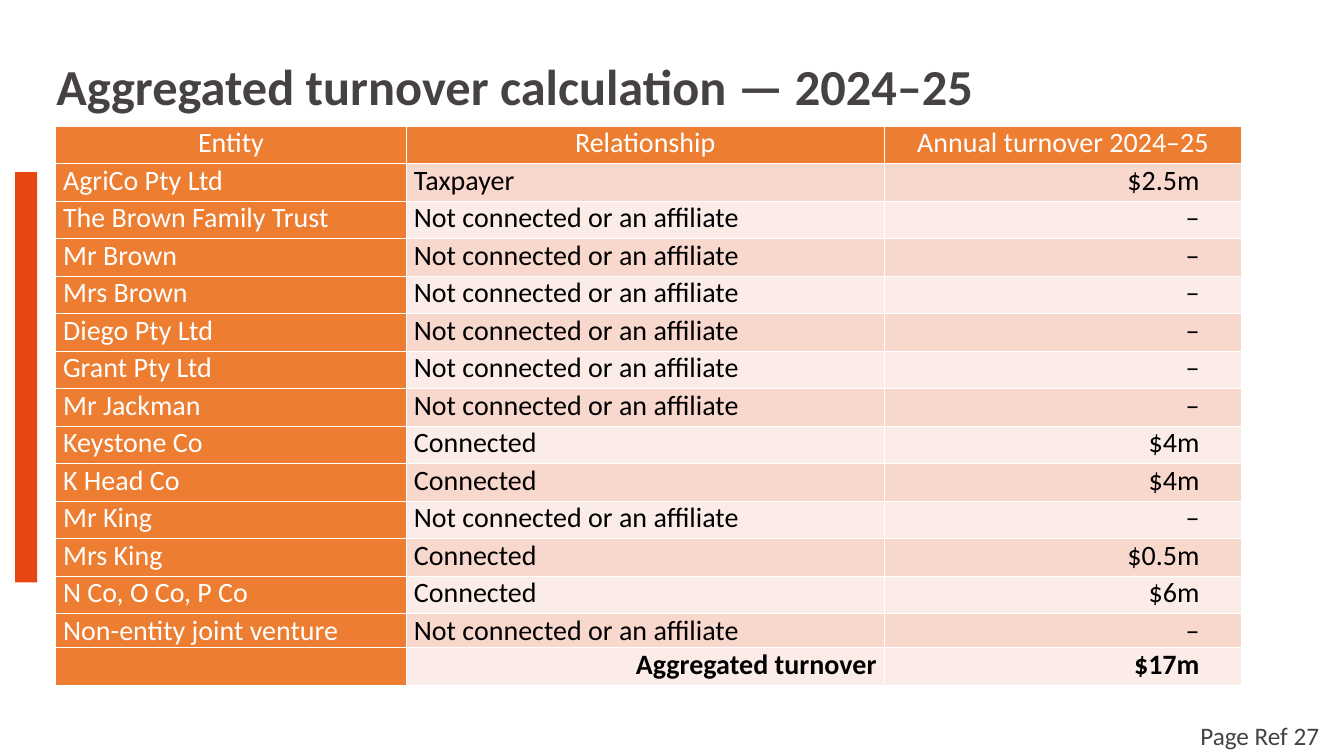
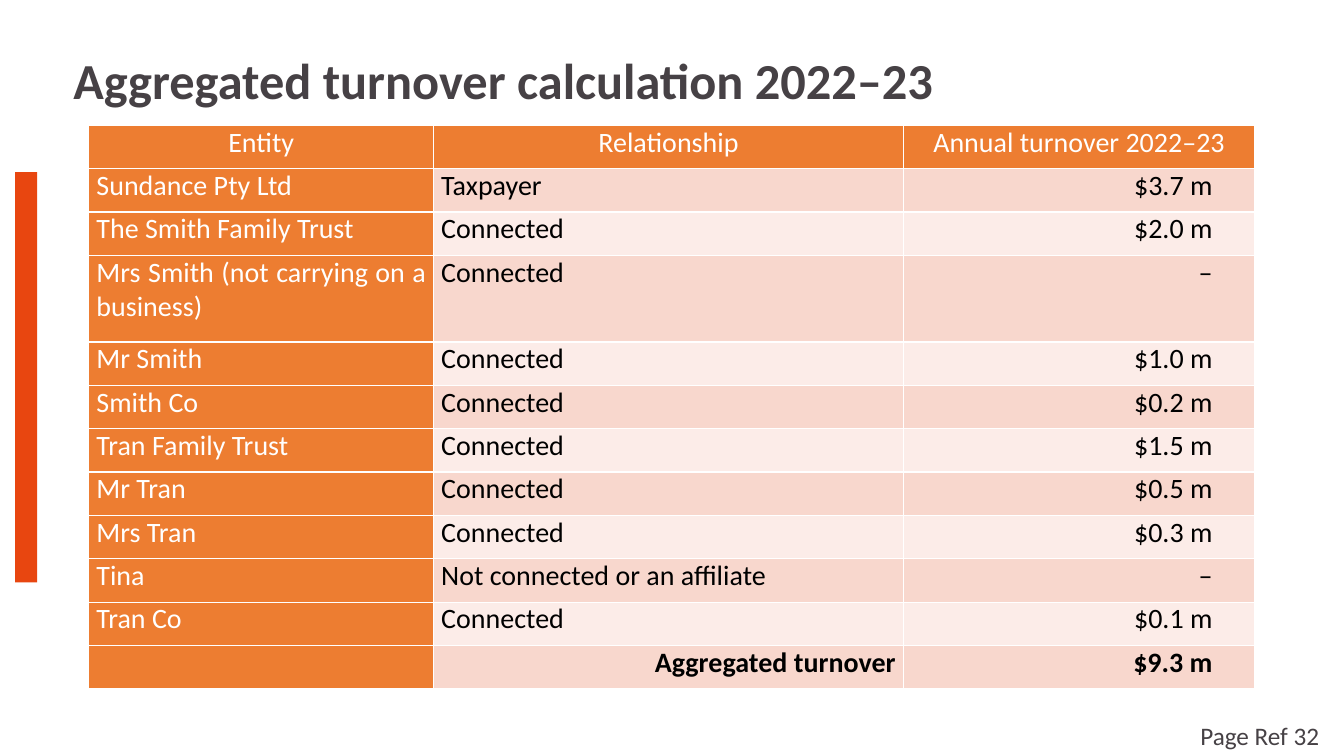
from dataclasses import dataclass

from lxml import etree
from pptx import Presentation
from pptx.dml.color import RGBColor
from pptx.enum.shapes import MSO_SHAPE
from pptx.enum.text import MSO_ANCHOR, PP_ALIGN
from pptx.oxml.ns import qn
from pptx.util import Cm, Pt

RECT = MSO_SHAPE.RECTANGLE
TOP, MIDDLE = MSO_ANCHOR.TOP, MSO_ANCHOR.MIDDLE
LEFT, CENTER = PP_ALIGN.LEFT, PP_ALIGN.CENTER
RIGHT, JUSTIFY = PP_ALIGN.RIGHT, PP_ALIGN.JUSTIFY


@dataclass(frozen=True)
class Theme:
    font: str = "Calibri"
    title_size: int = 36
    table_size: int = 20
    footer_size: int = 18
    ink: str = "464145"
    accent: str = "E84610"
    header: str = "ED7D31"
    bands: tuple = ("F8D7CD", "FCECE8")
    white: str = "FFFFFF"
    black: str = "000000"
    border: int = 1
    columns: tuple = (3.48, 4.74, 3.55)  # relative widths


def rgb(color):
    return RGBColor.from_string(color)


def write(tf, text, *, font, size, color, bold=False, align=LEFT, spacing=None):
    """Put one formatted paragraph in a text frame."""
    p = tf.paragraphs[0]
    p.alignment = align
    if spacing:
        p.line_spacing = spacing
    r = p.add_run()
    r.text = text
    r.font.name, r.font.size, r.font.bold = font, Pt(size), bold
    r.font.color.rgb = rgb(color)


class Deck:
    def __init__(self, theme):
        self.theme = theme
        self.prs = Presentation()
        self.prs.slide_width, self.prs.slide_height = Cm(33.87), Cm(19.05)
        self.s = None

    # Slide with the accent bar
    def slide(self):
        self.s = self.prs.slides.add_slide(self.prs.slide_layouts[6])
        bar = self.s.shapes.add_shape(RECT, Cm(0.38), Cm(4.34), Cm(0.56), Cm(10.34))
        bar.shadow.inherit = False
        bar.fill.solid()
        bar.fill.fore_color.rgb = rgb(self.theme.accent)
        bar.line.fill.background()

    def text(self, text, left, top, width, height, anchor=TOP, **fmt):
        sp = self.s.shapes.add_textbox(Cm(left), Cm(top), Cm(width), Cm(height))
        tf = sp.text_frame
        tf.word_wrap = True
        tf.vertical_anchor = anchor
        write(tf, text, font=self.theme.font, color=self.theme.ink, **fmt)

    def title(self, text, left, top, width, height):
        self.text(text, left, top, width, height, anchor=MIDDLE,
                  size=self.theme.title_size, bold=True, spacing=0.9)

    def footer(self, page):
        self.text(f"Page Ref {page}", 30, 18.03, 3.86, 1.02,
                  size=self.theme.footer_size)

    # Turnover table: header, entity rows, total
    def table(self, year, entities, total, left, top, width, height, weights):
        """Weights maps a row number to its height relative to the other rows."""
        rows = [("Entity", "Relationship", f"Annual turnover {year}"),
                *entities, ("", "Aggregated turnover", total)]
        n_cols = len(self.theme.columns)
        tbl = self.s.shapes.add_table(len(rows), n_cols, Cm(left), Cm(top),
                                      Cm(width), Cm(height)).table
        tbl.horz_banding = False
        for col, share in zip(tbl.columns, self.theme.columns):
            col.width = Cm(width * share / sum(self.theme.columns))
        shares = [weights.get(i, 1) for i in range(len(rows))]
        for row, share in zip(tbl.rows, shares):
            row.height = Cm(height * share / sum(shares))
        for i, row in enumerate(rows):
            for j, text in enumerate(row):
                self.cell(tbl.cell(i, j), text, i, j, is_total=i == len(rows) - 1)

    def cell(self, cell, text, i, j, is_total):
        t = self.theme
        is_head = i == 0 or j == 0
        if i == 0:
            align = CENTER
        elif j == 2 or is_total:
            align = RIGHT
        else:
            align = JUSTIFY
        cell.margin_top = cell.margin_bottom = Cm(0)
        cell.margin_left = Cm(0.19)
        cell.margin_right = Cm(1.07 if j == 2 and i > 0 else 0.19)
        self.borders(cell)
        cell.fill.solid()
        cell.fill.fore_color.rgb = rgb(t.header if is_head else t.bands[(i - 1) % 2])
        write(cell.text_frame, text, font=t.font, size=t.table_size, align=align,
              color=t.white if is_head else t.black, bold=is_total)

    def borders(self, cell):
        tc_pr = cell._tc.get_or_add_tcPr()
        for side in ("lnL", "lnR", "lnT", "lnB"):
            ln = etree.SubElement(tc_pr, qn(f"a:{side}"), w=str(Pt(self.theme.border)))
            fill = etree.SubElement(ln, qn("a:solidFill"))
            etree.SubElement(fill, qn("a:srgbClr"), val=self.theme.white)


NOT_LINKED = "Not connected or an affiliate"
LINKED = "Connected"

ENTITIES_2025 = [
    ("AgriCo Pty Ltd", "Taxpayer", "$2.5m"),
    ("The Brown Family Trust", NOT_LINKED, "–"),
    ("Mr Brown", NOT_LINKED, "–"),
    ("Mrs Brown", NOT_LINKED, "–"),
    ("Diego Pty Ltd", NOT_LINKED, "–"),
    ("Grant Pty Ltd", NOT_LINKED, "–"),
    ("Mr Jackman", NOT_LINKED, "–"),
    ("Keystone Co", LINKED, "$4m"),
    ("K Head Co", LINKED, "$4m"),
    ("Mr King", NOT_LINKED, "–"),
    ("Mrs King", LINKED, "$0.5m"),
    ("N Co, O Co, P Co", LINKED, "$6m"),
    ("Non-entity joint venture", NOT_LINKED, "–"),
]

ENTITIES_2023 = [
    ("Sundance Pty Ltd", "Taxpayer", "$3.7 m"),
    ("The Smith Family Trust", LINKED, "$2.0 m"),
    ("Mrs Smith (not carrying on a business)", LINKED, "–"),
    ("Mr Smith", LINKED, "$1.0 m"),
    ("Smith Co", LINKED, "$0.2 m"),
    ("Tran Family Trust", LINKED, "$1.5 m"),
    ("Mr Tran", LINKED, "$0.5 m"),
    ("Mrs Tran", LINKED, "$0.3 m"),
    ("Tina", NOT_LINKED, "–"),
    ("Tran Co", LINKED, "$0.1 m"),
]


def main():
    deck = Deck(Theme())

    # Turnover 2024–25
    deck.slide()
    deck.title("Aggregated turnover calculation — 2024–25", 1.17, 1.32, 30.35, 1.85)
    deck.table("2024–25", ENTITIES_2025, "$17m", 1.4, 3.18, 29.9, 14.1, {13: 0.91})
    deck.footer(27)

    # Turnover 2022–23
    deck.slide()
    deck.title("Aggregated turnover calculation 2022–23", 1.6, 1.02, 29.21, 2.16)
    deck.table("2022–23", ENTITIES_2023, "$9.3 m", 2.24, 3.16, 29.39, 14.2, {3: 2})
    deck.footer(32)

    deck.prs.save("out.pptx")


if __name__ == "__main__":
    main()
